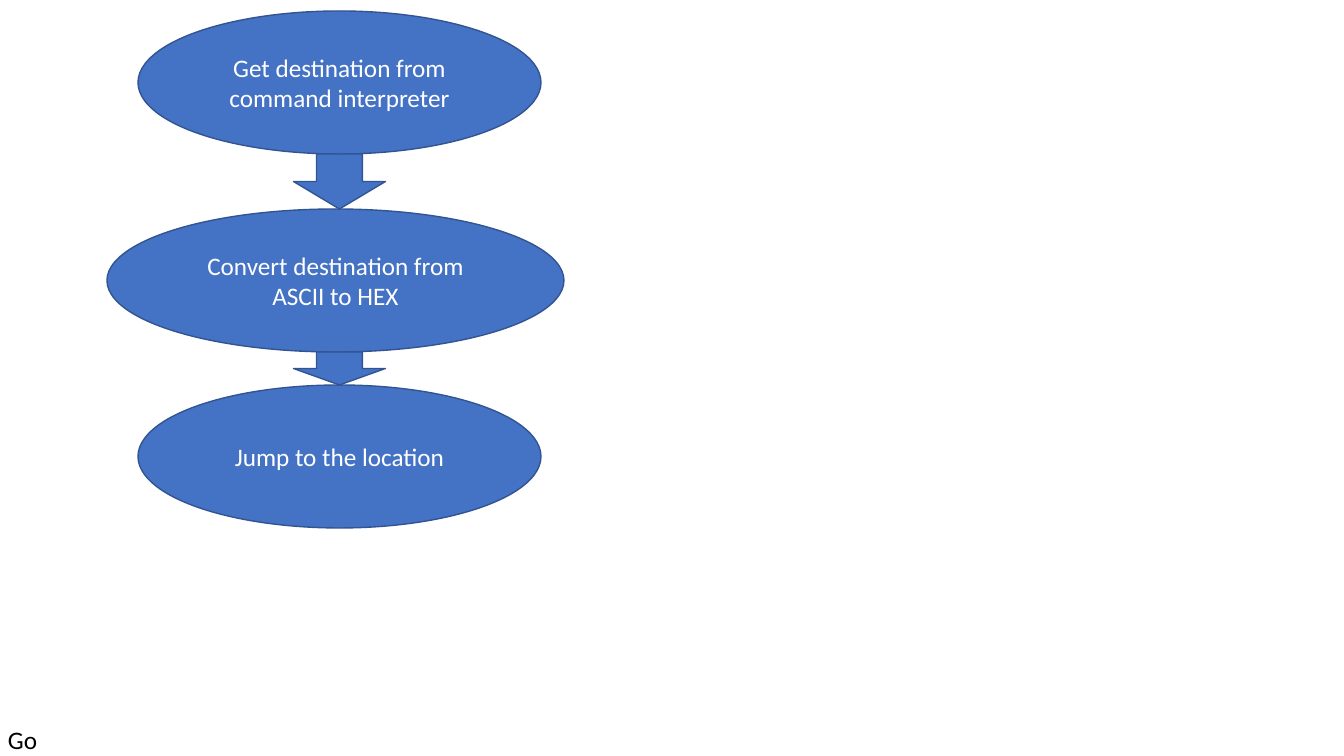
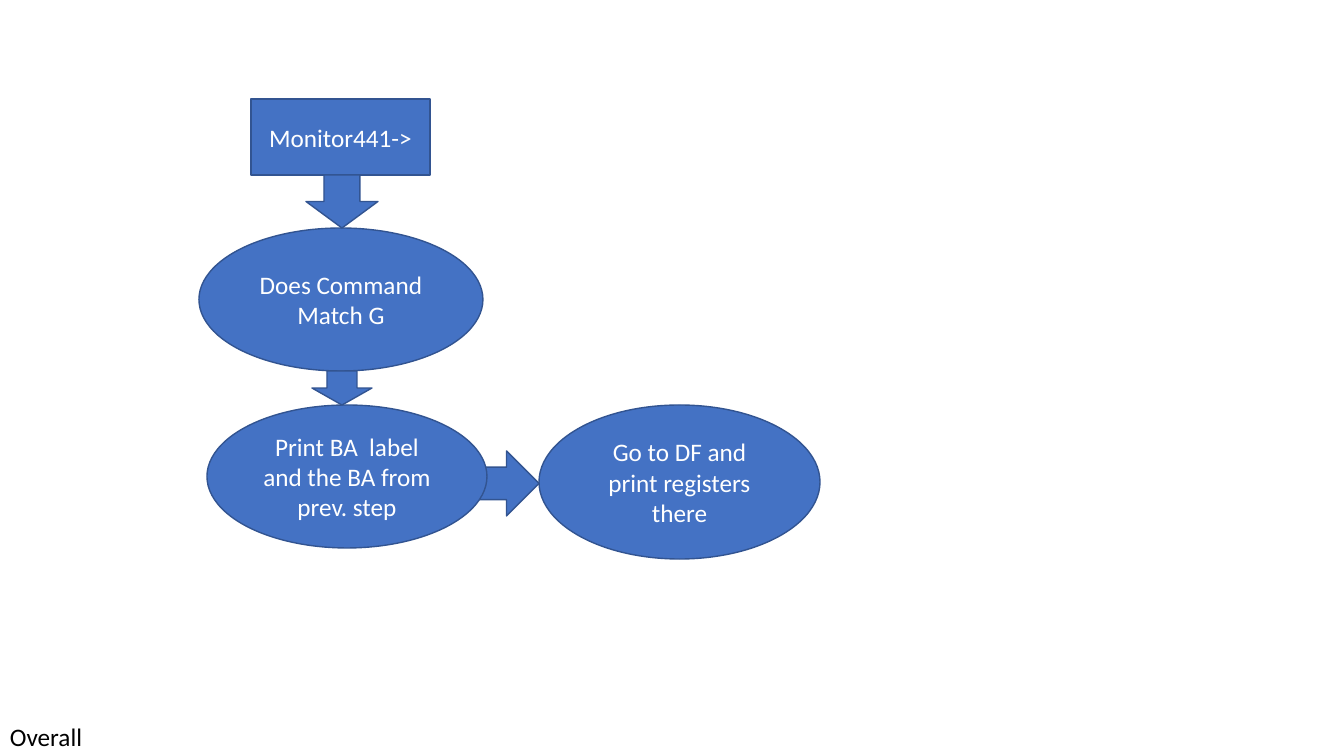
from collections import namedtuple
from dataclasses import dataclass

from pptx import Presentation
from pptx.dml.color import RGBColor
from pptx.enum.shapes import MSO_SHAPE
from pptx.enum.text import MSO_ANCHOR, PP_ALIGN
from pptx.util import Pt

EMU_PER_PX = 914400 / 100.8
Box = namedtuple("Box", "x y w h")


@dataclass(frozen=True)
class Theme:
    fill: RGBColor = RGBColor(0x44, 0x72, 0xC4)
    line: RGBColor = RGBColor(0x32, 0x54, 0x91)
    light: RGBColor = RGBColor(0xFF, 0xFF, 0xFF)
    dark: RGBColor = RGBColor(0, 0, 0)
    font: str = "Calibri"
    size: int = 18
    line_width: int = 1


THEME = Theme()
SLIDE = Box(0, 0, 1344, 756)
STEP_H = 143


def emu(px):
    return round(px * EMU_PER_PX)


def place(box):
    return [emu(v) for v in box]


def inside(area, x, y, w, h):
    return Box(area.x + x, area.y + y, w, h)


def write(sp, text, color, align):
    tf = sp.text_frame
    tf.word_wrap = True
    p = tf.paragraphs[0]
    p.text = text
    p.alignment = align
    p.font.name = THEME.font
    p.font.size = Pt(THEME.size)
    p.font.color.rgb = color


def add_block(s, kind, box, text=None):
    sp = s.shapes.add_shape(kind, *place(box))
    sp.shadow.inherit = False
    sp.fill.solid()
    sp.fill.fore_color.rgb = THEME.fill
    sp.line.color.rgb = THEME.line
    sp.line.width = Pt(THEME.line_width)
    if text:
        write(sp, text, THEME.light, PP_ALIGN.CENTER)
        sp.text_frame.vertical_anchor = MSO_ANCHOR.MIDDLE


def add_down_arrow(s, upper, lower, center, width):
    """Fill the gap between two stacked steps."""
    top = upper.y + upper.h
    box = Box(center - width / 2, top, width, lower.y - top)
    add_block(s, MSO_SHAPE.DOWN_ARROW, box)


def add_caption(s, box, text):
    sp = s.shapes.add_textbox(*place(box))
    write(sp, text, THEME.dark, PP_ALIGN.LEFT)


def go_flow(s, area):
    # Steps
    get = inside(area, 31, 0, 403, STEP_H)
    convert = inside(area, 0, 198, 457, STEP_H)
    jump = inside(area, 31, 374, 403, STEP_H)
    add_block(s, MSO_SHAPE.OVAL, get, "Get destination from command interpreter")
    add_block(s, MSO_SHAPE.OVAL, convert, "Convert destination from ASCII to HEX")
    add_block(s, MSO_SHAPE.OVAL, jump, "Jump to the location")

    # Arrows
    center = get.x + get.w / 2
    for upper, lower in ((get, convert), (convert, jump)):
        add_down_arrow(s, upper, lower, center, 92)


def overall_flow(s, area):
    prompt = inside(area, 52, 0, 179, 76)
    match = inside(area, 0, 129, 284, STEP_H)
    label = inside(area, 8, 306, 280, STEP_H)
    registers = inside(area, 340, 306, 281, 154)

    # Arrow to the side step, tucked behind the label step
    arrow_w, arrow_h = 124, 65
    add_block(s, MSO_SHAPE.RIGHT_ARROW,
              Box(registers.x - arrow_w, registers.y + 46, arrow_w, arrow_h))

    # Steps
    add_block(s, MSO_SHAPE.RECTANGLE, prompt, "Monitor441->")
    add_block(s, MSO_SHAPE.OVAL, match, "Does Command Match G")
    add_block(s, MSO_SHAPE.OVAL, label, "Print BA  label and the BA from prev. step")
    add_block(s, MSO_SHAPE.OVAL, registers, "Go to DF and print registers there")

    # Down arrows
    center = match.x + match.w / 2 + 1
    add_down_arrow(s, prompt, match, center, 72)
    add_down_arrow(s, match, label, center, 60)


prs = Presentation()
prs.slide_width, prs.slide_height = emu(SLIDE.w), emu(SLIDE.h)

pages = [
    (go_flow, Box(107, 11, 457, 517), "Go", Box(-2, 719, 225, 40)),
    (overall_flow, Box(199, 99, 621, 460), "Overall", Box(0, 716, 295, 40)),
]
for flow, area, caption, caption_box in pages:
    s = prs.slides.add_slide(prs.slide_layouts[6])
    flow(s, area)
    add_caption(s, caption_box, caption)

prs.save("out.pptx")
